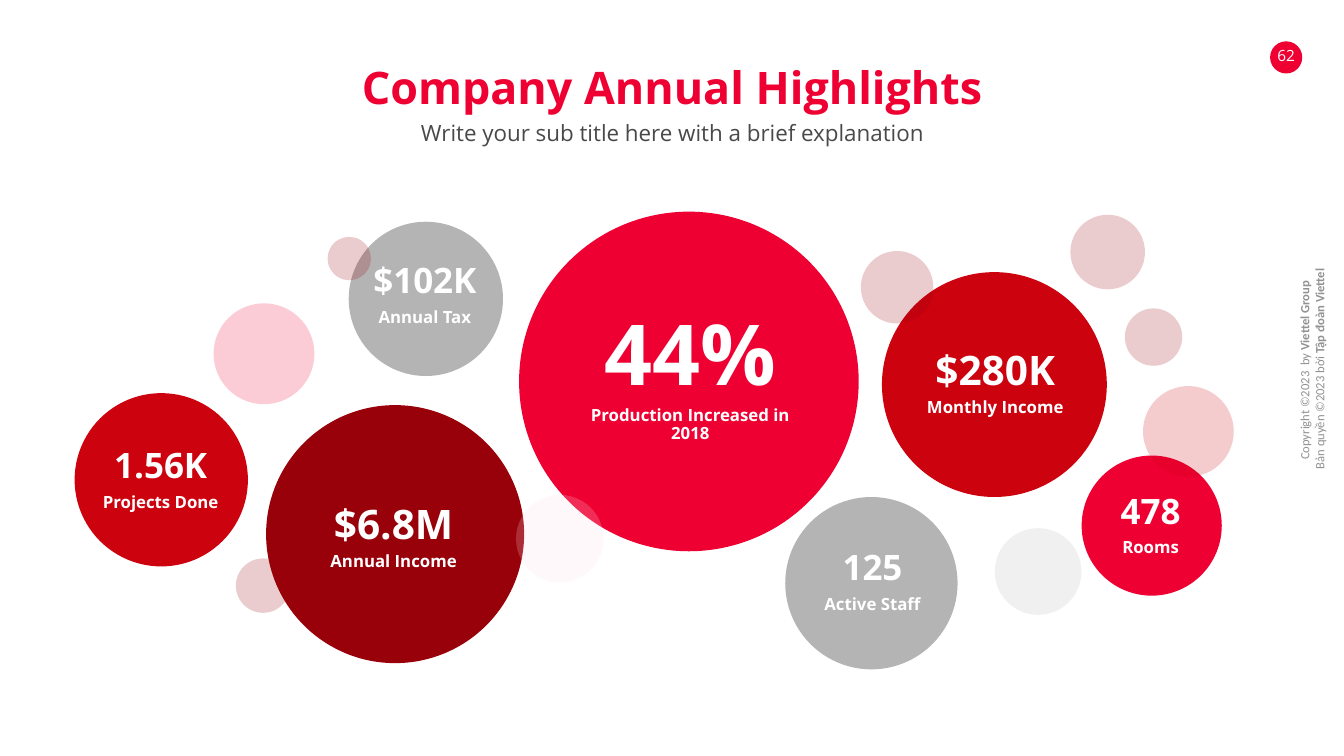
from dataclasses import dataclass

from lxml import etree
from pptx import Presentation
from pptx.dml.color import RGBColor
from pptx.enum import shapes, text
from pptx.oxml import ns
from pptx.shapes.autoshape import Shape
from pptx.slide import Slide
from pptx.util import Pt

RED = RGBColor(0xEE, 0x00, 0x33)
CRIMSON = RGBColor(0xCC, 0x02, 0x0E)
MAROON = RGBColor(0x98, 0x01, 0x0A)
SILVER = RGBColor(0xB5, 0xB4, 0xB4)
BLUSH = RGBColor(0xFD, 0xE0, 0xE6)
WHITE = RGBColor(0xFF, 0xFF, 0xFF)
CHARCOAL = RGBColor(0x49, 0x49, 0x49)
GREY = RGBColor(0x92, 0x92, 0x92)

FAINT = 20
LINE_SPACING = 0.9


@dataclass(frozen=True)
class Bubble:
    left: float
    top: float
    diameter: float
    color: RGBColor
    opacity: int = 100


@dataclass(frozen=True)
class Box:
    left: float
    top: float
    width: float
    height: float


@dataclass(frozen=True)
class Style:
    size: float
    color: RGBColor
    bold: bool = False
    name: str = "Open Sans"


@dataclass(frozen=True)
class Highlight:
    value: str
    caption: str
    left: float
    top: float
    width: float
    size: float
    caption_top: float


BUBBLES = [
    Bubble(370.8, 151.2, 242.6, RED),
    Bubble(772.6, 325.4, 100.1, RED),
    Bubble(630, 194.4, 160.6, CRIMSON),
    Bubble(803.5, 220.3, 41, MAROON, FAINT),
    Bubble(816.5, 275.8, 64.8, CRIMSON, FAINT),
    Bubble(710.6, 377.3, 61.9, SILVER, FAINT),
    Bubble(560.9, 355, 123.1, SILVER),
    Bubble(190.1, 289.4, 184.3, MAROON),
    Bubble(249.1, 158.4, 110.2, SILVER),
    Bubble(368.6, 353.5, 62.6, BLUSH, FAINT),
    Bubble(152.6, 216.7, 72, RED, FAINT),
    Bubble(53.3, 280.8, 123.8, CRIMSON),
    Bubble(764.6, 153.4, 53.3, MAROON, FAINT),
    Bubble(234, 169.2, 31, MAROON, FAINT),
    Bubble(168.5, 398.9, 38.9, MAROON, FAINT),
    Bubble(614.9, 179.3, 51.8, MAROON, FAINT),
]

HIGHLIGHTS = [
    Highlight("44%", "Production Increased in 2018", 411.8, 223.2, 162.7, 60, 290.9),
    Highlight("$280K", "Monthly Income", 656.6, 250.6, 108.7, 29, 285.1),
    Highlight("$6.8M", "Annual Income", 226.8, 360, 108.7, 29, 395.3),
    Highlight("$102K", "Annual Tax", 251.3, 187.9, 104.4, 25, 221),
    Highlight("125", "Active Staff", 571, 393.1, 104.4, 25, 425.5),
    Highlight("478", "Rooms", 769.7, 352.8, 104.4, 25, 385.2),
    Highlight("1.56K", "Projects Done", 62.6, 320.4, 104.4, 25, 352.8),
]

COPYRIGHT = [
    ("Copyright ©2023  by ", "Viettel Group "),
    ("Bản quyền ©2023 bởi ", "Tập đoàn Viettel"),
]


def set_all(target: object, values: dict[str, object]) -> None:
    for key, value in values.items():
        setattr(target, key, value)


def place(shape: Shape, box: Box) -> None:
    set_all(shape, {
        "left": Pt(box.left),
        "top": Pt(box.top),
        "width": Pt(box.width),
        "height": Pt(box.height),
    })


def prepare_frame(shape: Shape, inset: float = 0) -> None:
    sides = ("left", "top", "right", "bottom")
    set_all(shape.text_frame, {
        "word_wrap": True,
        "auto_size": text.MSO_AUTO_SIZE.NONE,
        "vertical_anchor": text.MSO_ANCHOR.TOP,
        **{f"margin_{side}": Pt(inset) for side in sides},
    })


def apply_style(font: object, style: Style) -> None:
    set_all(font, {"name": style.name, "size": Pt(style.size), "bold": style.bold})
    font.color.rgb = style.color


def write_line(shape: Shape, box: Box, words: str, style: Style) -> None:
    place(shape, box)
    prepare_frame(shape)
    line = shape.text_frame.paragraphs[0]
    set_all(line, {
        "text": words,
        "alignment": text.PP_ALIGN.CENTER,
        "line_spacing": LINE_SPACING,
    })
    apply_style(line.runs[0].font, style)


def add_line(slide: Slide, box: Box, words: str, style: Style) -> None:
    write_line(slide.shapes.add_textbox(0, 0, 0, 0), box, words, style)


def add_bubble(slide: Slide, bubble: Bubble) -> None:
    size = Pt(bubble.diameter)
    circle = slide.shapes.add_shape(
        shapes.MSO_SHAPE.OVAL, Pt(bubble.left), Pt(bubble.top), size, size)
    circle.shadow.inherit = False
    circle.line.fill.background()
    circle.fill.solid()
    circle.fill.fore_color.rgb = bubble.color
    if bubble.opacity < 100:
        color = circle.fill._xPr.find(".//" + ns.qn("a:srgbClr"))
        alpha = etree.SubElement(color, ns.qn("a:alpha"))
        alpha.set("val", str(bubble.opacity * 1000))


def add_highlight(slide: Slide, item: Highlight) -> None:
    add_line(slide, Box(item.left, item.top, item.width, item.size * 1.2),
             item.value, Style(item.size, WHITE, True))
    add_line(slide, Box(item.left, item.caption_top, item.width, 14.4),
             item.caption, Style(12, WHITE, True))


def add_copyright(slide: Slide) -> None:
    notice = slide.shapes.add_textbox(0, 0, 0, 0)
    place(notice, Box(771.1, 249.1, 331.9, 28.8))
    notice.rotation = 270
    prepare_frame(notice, 3.6)
    frame = notice.text_frame
    for index, (statement, owner) in enumerate(COPYRIGHT):
        line = frame.add_paragraph() if index else frame.paragraphs[0]
        line.alignment = text.PP_ALIGN.CENTER
        for words, bold in ((statement, False), (owner, True)):
            run = line.add_run()
            run.text = words
            apply_style(run.font, Style(9, GREY, bold, "Calibri"))


def main() -> None:
    deck = Presentation()
    set_all(deck, {"slide_width": Pt(960), "slide_height": Pt(540)})
    slide = deck.slides.add_slide(deck.slide_layouts[5])

    add_copyright(slide)
    add_bubble(slide, Bubble(907.2, 29.5, 23, RED))
    add_line(slide, Box(904.3, 34.6, 28.8, 13.7), "62", Style(11, WHITE))
    write_line(slide.shapes.title, Box(52.6, 46.8, 855.4, 38.9),
               "Company Annual Highlights", Style(32, RED, True))
    add_line(slide, Box(52.6, 87.1, 855.4, 19.4),
             "Write your sub title here with a brief explanation",
             Style(16, CHARCOAL))
    for bubble in BUBBLES:
        add_bubble(slide, bubble)
    for item in HIGHLIGHTS:
        add_highlight(slide, item)

    deck.save("out.pptx")


if __name__ == "__main__":
    main()
